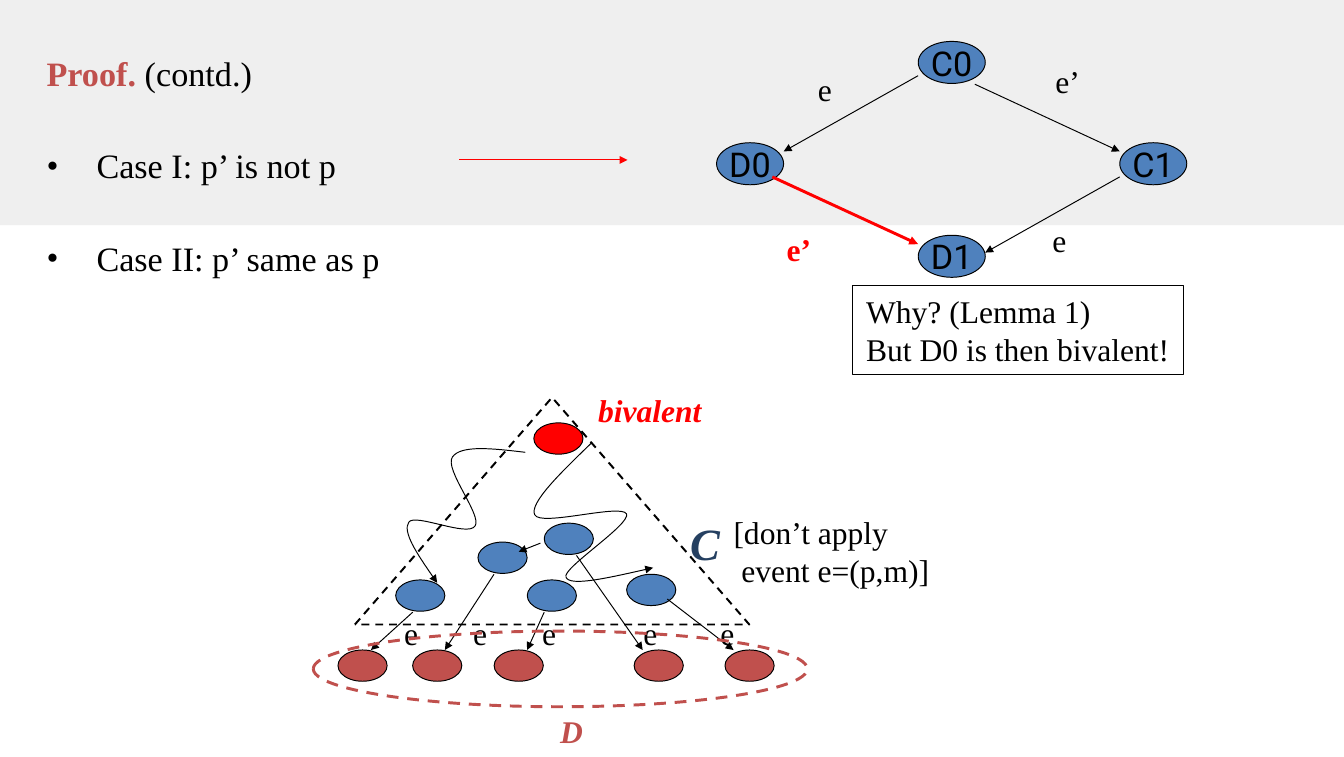
from lxml.etree import SubElement
from pptx import Presentation
from pptx.dml.color import RGBColor
from pptx.enum.dml import MSO_LINE_DASH_STYLE as Dash
from pptx.enum.shapes import MSO_CONNECTOR, MSO_SHAPE as Shape
from pptx.enum.text import MSO_ANCHOR as Anchor, PP_ALIGN as Align
from pptx.oxml.ns import qn
from pptx.util import Pt

COLORS = {"black": "000000", "red": "FF0000", "blue": "4F81BD",
          "brick": "C0504D", "navy": "254061", "band": "EFEFEF"}


class Diagram:
    serif, sans = "Times New Roman", "Roboto"
    body, label_size = 26, 24

    def __init__(self, slide):
        self.slide = slide

    def rgb(self, name):
        return RGBColor.from_string(COLORS[name])

    def style_font(self, font, size, color="black", bold=False, italic=False, name=serif):
        font.name, font.size = name, Pt(size)
        font.bold, font.italic = bold, italic
        font.color.rgb = self.rgb(color)

    def style_line(self, line, color, width, dash=None):
        line.color.rgb = self.rgb(color)
        line.width = Pt(width)
        if dash:
            line.dash_style = dash

    def add_arrowhead(self, line):
        SubElement(line._get_or_add_ln(), qn("a:tailEnd"), type="triangle")

    def shape(self, kind, left, top, width, height, fill=None, line=None, weight=0.75, dash=None):
        shape = self.slide.shapes.add_shape(kind, Pt(left), Pt(top), Pt(width), Pt(height))
        shape.shadow.inherit = False
        if fill:
            shape.fill.solid()
            shape.fill.fore_color.rgb = self.rgb(fill)
        else:
            shape.fill.background()
        if line:
            self.style_line(shape.line, line, weight, dash)
        else:
            shape.line.fill.background()
        return shape

    def frame(self, shape, inset=0, wrap=False, anchor=Anchor.MIDDLE):
        frame = shape.text_frame
        frame.word_wrap, frame.vertical_anchor = wrap, anchor
        frame.margin_left = frame.margin_right = Pt(inset)
        frame.margin_top = frame.margin_bottom = Pt(inset / 2)
        return frame

    def node(self, x, y, fill, text=None, width=37.4, height=23.8):
        """Draw an ellipse centred on x, y."""
        node = self.shape(Shape.OVAL, x - width / 2, y - height / 2, width, height, fill, "black")
        if text:
            para = self.frame(node).paragraphs[0]
            para.text, para.alignment = text, Align.CENTER
            self.style_font(para.font, self.body, name=self.sans)

    def label(self, text, x, y, color="black", bold=False, italic=False, size=label_size):
        """Write one line centred on x, y."""
        width, height = size * 0.6 * len(text), size * 1.2
        box = self.slide.shapes.add_textbox(
            Pt(x - width / 2), Pt(y - height / 2), Pt(width), Pt(height))
        para = self.frame(box).paragraphs[0]
        para.text, para.alignment = text, Align.CENTER
        self.style_font(para.font, size, color, bold, italic)

    def note(self, lines, left, top, width, height, line=None, inset=0, indent=0):
        """Write left-aligned lines, each indented further than the one before."""
        box = self.shape(Shape.RECTANGLE, left, top, width, height, line=line)
        frame = self.frame(box, inset)
        for index, text in enumerate(lines):
            para = frame.add_paragraph() if index else frame.paragraphs[0]
            para.text, para.alignment = text, Align.LEFT
            para._p.get_or_add_pPr().set("marL", str(Pt(indent * index)))
            self.style_font(para.font, self.label_size)

    def arrow(self, start, end, color="black", weight=0.75):
        points = [Pt(value) for value in (*start, *end)]
        arrow = self.slide.shapes.add_connector(MSO_CONNECTOR.STRAIGHT, *points)
        self.style_line(arrow.line, color, weight)
        self.add_arrowhead(arrow.line)
        SubElement(arrow._element.spPr, qn("a:effectLst"))

    def curve(self, points):
        """Draw a Bezier arrow: a start, then two handles and an end for each piece."""
        start, *rest = [(Pt(x), Pt(y)) for x, y in points]
        builder = self.slide.shapes.build_freeform(*start)
        builder.add_line_segments(rest, close=False)
        curve = builder.convert_to_shape()
        segments = list(curve._element.iter(qn("a:lnTo")))
        for first in range(0, len(segments), 3):
            piece = segments[first:first + 3]
            bezier = SubElement(piece[0].getparent(), qn("a:cubicBezTo"))
            for segment in piece:
                bezier.append(segment[0])
                segment.getparent().remove(segment)
        curve.shadow.inherit = False
        curve.fill.background()
        self.style_line(curve.line, "black", 0.75)
        self.add_arrowhead(curve.line)

    def proof_text(self, heading, rest, cases, left, top, width, height):
        box = self.slide.shapes.add_textbox(Pt(left), Pt(top), Pt(width), Pt(height))
        frame = self.frame(box, 10.2, True, Anchor.TOP)
        title = frame.paragraphs[0]
        title.line_spacing = 0.9
        for text, color, bold in ((heading, "brick", True), (rest, "black", False)):
            span = title.add_run()
            span.text = text
            self.style_font(span.font, self.body, color, bold)
        for case in cases:
            para = frame.add_paragraph()
            para.text, para.line_spacing, para.space_before = case, 0.9, Pt(42.3)
            properties = para._p.get_or_add_pPr()
            properties.set("marL", str(Pt(38)))
            properties.set("indent", str(-Pt(38)))
            SubElement(properties, qn("a:buFont"), typeface=self.serif)
            SubElement(properties, qn("a:buChar"), char="•")
            self.style_font(para.font, self.body)


def main():
    deck = Presentation()
    deck.slide_width, deck.slide_height = Pt(1022.4), Pt(576)
    page = Diagram(deck.slides.add_slide(deck.slide_layouts[6]))

    page.shape(Shape.RECTANGLE, 0, 0, 1022.4, 171.4, "band")
    page.proof_text("Proof.", " (contd.)", ["Case I: p’ is not p", "Case II: p’ same as p"],
                    25.2, 38.2, 502, 345)

    # Tree of configurations reachable without applying e
    page.node(424.8, 333.7, "red")
    page.curve([(399.6, 344.2), (375.1, 341.3), (350.6, 338.4), (344.2, 347.8),
                (337.7, 357.1), (367.2, 392.4), (361.4, 400.3),
                (355.7, 409), (315.4, 390.2), (311, 397.4),
                (306, 404.6), (319, 424.1), (332.6, 443.5)])
    page.curve([(450, 337), (426.2, 360), (402.5, 383), (406.8, 391.7),
                (411.1, 401), (472.3, 383), (476.6, 391),
                (480.2, 398.9), (427, 432.7), (430.6, 439.2),
                (433.4, 446.4), (465.1, 439.2), (496.8, 432)])
    for x, y in ((495.4, 448.9), (319.7, 453.2), (382.3, 424.4), (419.8, 453.2), (432.7, 410)):
        page.node(x, y, "blue")
    page.shape(Shape.ISOSCELES_TRIANGLE, 270, 302.4, 300, 172.8,
               line="black", weight=1.5, dash=Dash.DASH)

    # Each event e: result node, arrow start, arrow end, label
    for node_x, start, end_x, label_x in (
            (275.8, (314, 465.8), 282.2, 312.8), (332.6, (375.8, 437), 338.4, 365.3),
            (394.6, (414, 465.8), 401, 417.8), (501.1, (438.5, 422.6), 488.9, 494.7),
            (570.2, (507.6, 455.8), 558, 553.3)):
        page.node(node_x, 506.5, "brick")
        page.arrow(start, (end_x, 494.6))
        page.label("e", label_x, 481.7)
    page.arrow((411.1, 413.3), (394.6, 419.8))
    page.shape(Shape.OVAL, 238.3, 480.2, 375.8, 57.6, line="brick", weight=2.25, dash=Dash.DASH)
    page.label("D", 433.4, 555.8, "brick", True, True)
    page.label("C", 535.3, 412.9, "navy", True, True, 34)
    page.label("bivalent", 494.3, 311.8, "red", True, True)
    page.note(["[don’t apply", "event e=(p,m)]"], 558, 390.2, 156, 57.6, indent=6)

    # Commuting diamond of configurations
    for text, x, y in (("C0", 724, 47.5), ("D1", 724, 195),
                       ("D0", 570.6, 124.6), ("C1", 877.3, 124.6)):
        page.node(x, y, "blue", text, 51, 32)
    page.arrow((698.4, 57.6), (596.2, 115.2))
    page.arrow((851.8, 134.6), (749.5, 192.2))
    page.arrow((741.6, 64.1), (851.8, 115.2))
    page.arrow((587.5, 134.6), (698.4, 185.8), "red", 2.25)
    page.label("e", 627.5, 67.7)
    page.label("e", 806, 182.9)
    page.label("e’", 607.7, 189.4, "red", True)
    page.label("e’", 812.2, 61.2)
    page.arrow((349.2, 121.7), (477.4, 121.7), "red")
    page.note(["Why? (Lemma 1)", "But D0 is then bivalent!"],
              648.7, 217.4, 251.3, 67.7, "black", 10.2)

    deck.save("out.pptx")


if __name__ == "__main__":
    main()
